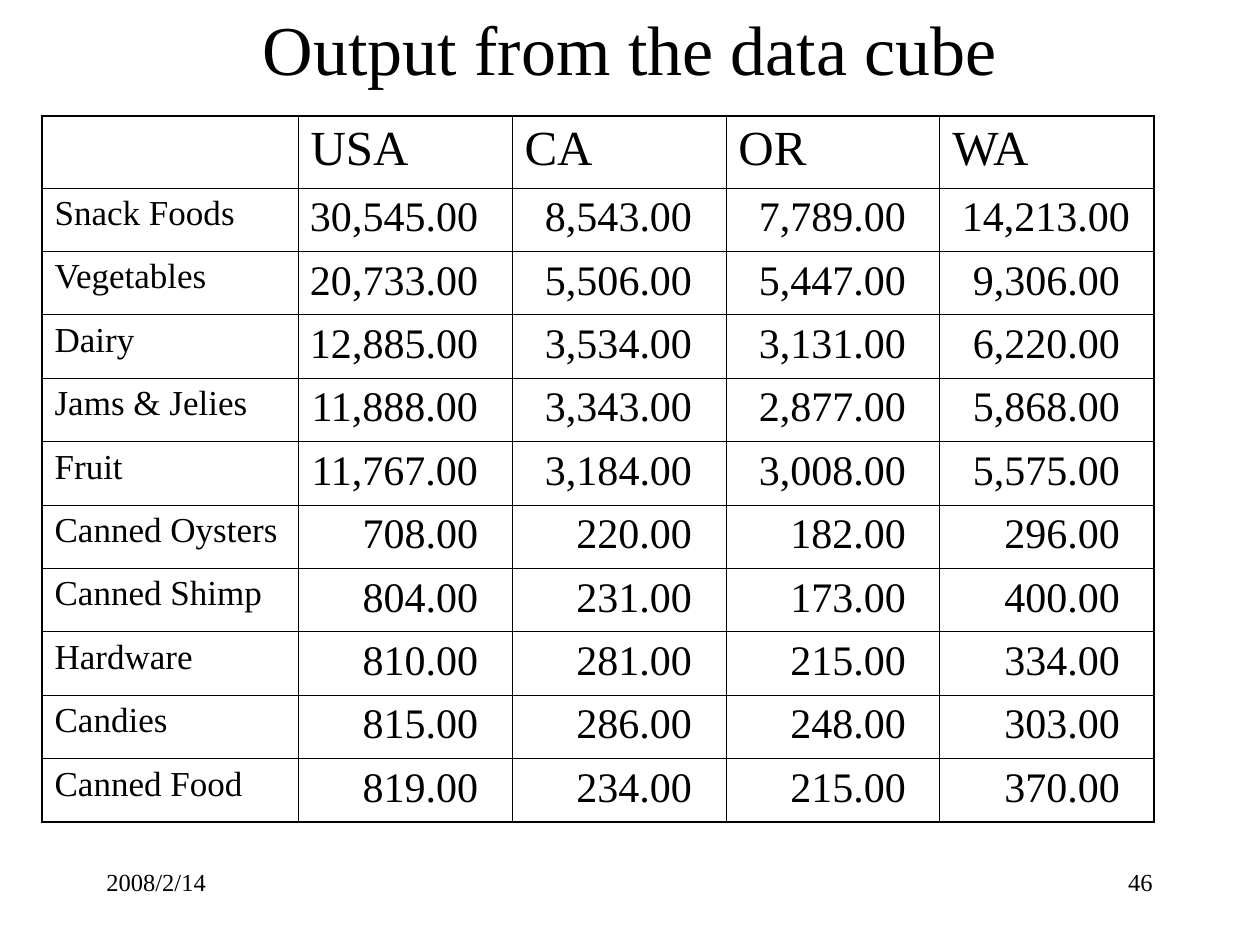
from pptx import Presentation
from pptx.dml.color import RGBColor
from pptx.enum.text import MSO_ANCHOR as Anchor, PP_ALIGN as Align
from pptx.oxml.ns import qn
from pptx.util import Pt
from lxml.etree import SubElement

COLORS = {"text": "000000", "border": "000000"}
FONT = "Times New Roman"
EMU_PER_PX = 914400 / 126
OUTER, INNER = 1.08, 0.45

HEADERS = ["", "USA", "CA", "OR", "WA"]
SALES = [
    ("Snack Foods", 30545, 8543, 7789, 14213),
    ("Vegetables", 20733, 5506, 5447, 9306),
    ("Dairy", 12885, 3534, 3131, 6220),
    ("Jams & Jelies", 11888, 3343, 2877, 5868),
    ("Fruit", 11767, 3184, 3008, 5575),
    ("Canned Oysters", 708, 220, 182, 296),
    ("Canned Shimp", 804, 231, 173, 400),
    ("Hardware", 810, 281, 215, 334),
    ("Candies", 815, 286, 248, 303),
    ("Canned Food", 819, 234, 215, 370),
]


def px(length):
    return round(length * EMU_PER_PX)


def write_text(text_frame, text, size, align=Align.LEFT):
    text_frame.word_wrap = True
    paragraph = text_frame.paragraphs[0]
    paragraph.text = text
    paragraph.alignment = align
    font = paragraph.font
    font.name = FONT
    font.size = Pt(size)
    font.bold = False
    font.color.rgb = RGBColor.from_string(COLORS["text"])


def add_title(slide, text):
    title = slide.shapes.title
    title.left, title.top, title.width, title.height = map(px, (94, 0, 1072, 94))
    write_text(title.text_frame, text, 40, Align.CENTER)
    title.text_frame.vertical_anchor = Anchor.MIDDLE


def add_footer(slide, left, text, align):
    box = slide.shapes.add_textbox(px(left), px(861), px(262), px(63))
    write_text(box.text_frame, text, 14, align)


def set_borders(cell, widths):
    properties = cell._tc.get_or_add_tcPr()
    for side, width in zip("LRTB", widths):
        line = SubElement(properties, qn(f"a:ln{side}"), w=str(Pt(width)))
        fill = SubElement(line, qn("a:solidFill"))
        SubElement(fill, qn("a:srgbClr"), val=COLORS["border"])


def fill_cell(cell, value, is_header):
    if isinstance(value, int):
        write_text(cell.text_frame, f"{value:,.2f}", 24, Align.RIGHT)
        cell.margin_left = 0
        cell.margin_right = px(24 if value == 14213 else 34)
    elif value:
        write_text(cell.text_frame, value, 28 if is_header else 20)


def add_sales_table(slide):
    rows = [HEADERS, *SALES]
    last_row, last_column = len(rows) - 1, len(HEADERS) - 1
    frame = slide.shapes.add_table(
        len(rows), len(HEADERS), px(42), px(116), px(1112), px(706))
    table = frame.table
    table.first_row = table.horz_banding = False
    for index, column in enumerate(table.columns):
        column.width = px(214 if index else 256)
    for index, row in enumerate(table.rows):
        row.height = px(634) // len(SALES) if index else px(72)
    for r, values in enumerate(rows):
        for c, value in enumerate(values):
            cell = table.cell(r, c)
            fill_cell(cell, value, r == 0)
            edges = (c == 0, c == last_column, r == 0, r == last_row)
            set_borders(cell, [OUTER if edge else INNER for edge in edges])
            cell.fill.background()


def main():
    presentation = Presentation()
    presentation.slide_width, presentation.slide_height = px(1260), px(945)
    slide = presentation.slides.add_slide(presentation.slide_layouts[5])
    add_title(slide, "Output from the data cube")
    add_sales_table(slide)
    add_footer(slide, 903, "46", Align.RIGHT)
    add_footer(slide, 94, "2008/2/14", Align.LEFT)
    presentation.save("out.pptx")


if __name__ == "__main__":
    main()
